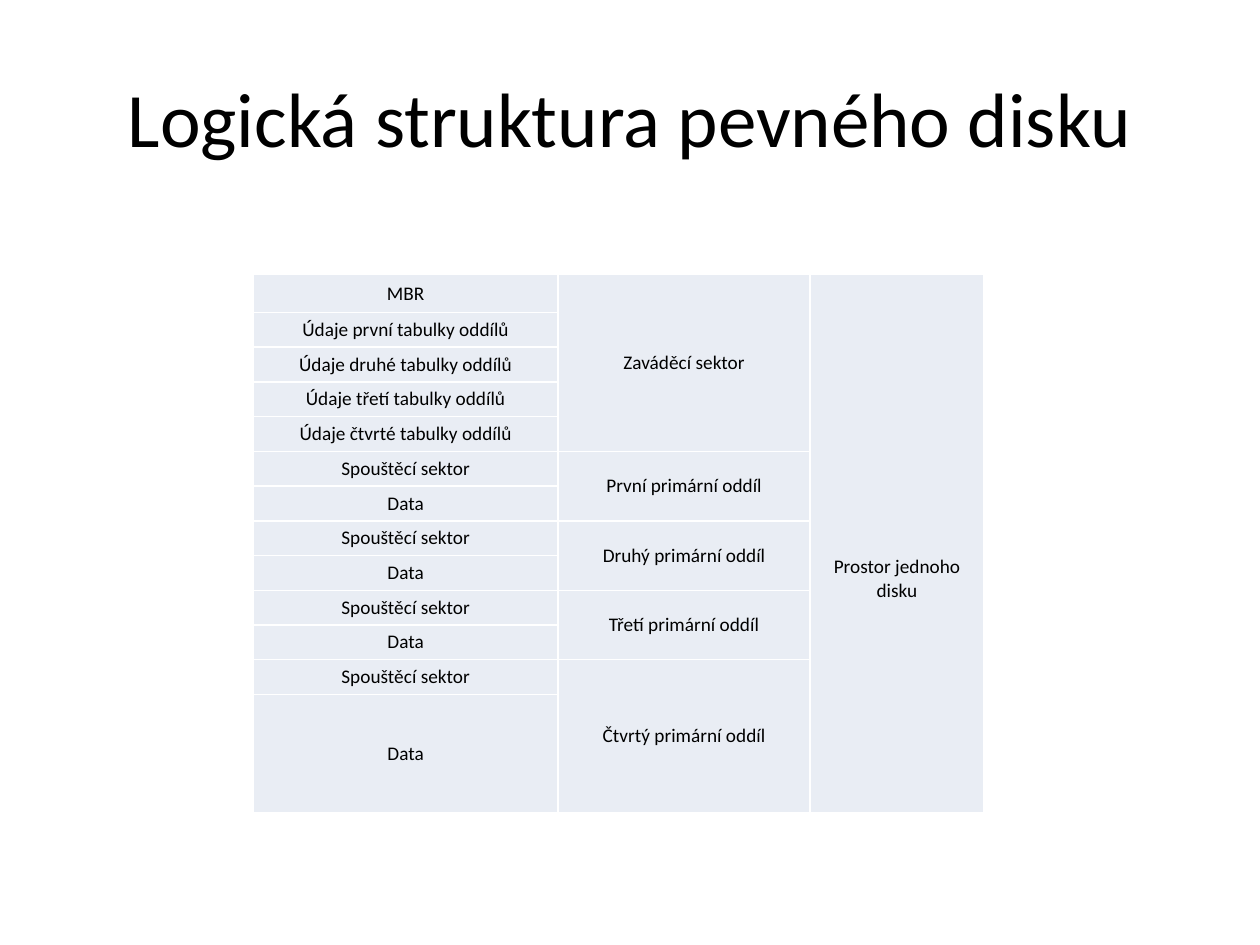
"""Build a slide with a table of the logical structure of a hard disk."""
import lxml.etree
import pptx
import pptx.dml.color
import pptx.enum.text
import pptx.oxml.ns
import pptx.util

Inches = pptx.util.Inches
COLORS = {"text": "000000", "cell": "E9EDF4", "border": "FFFFFF"}
FONT = "Calibri"
COLUMN_WIDTHS = [2.42, 2, 1.38]
FIRST_ROW, MIDDLE_ROW, LAST_ROW = 0.3, 3.31 / 12, 0.94
SECTORS = ["MBR"]
SECTORS += [f"Údaje {order} tabulky oddílů" for order in ("první", "druhé", "třetí", "čtvrté")]
SECTORS += ["Spouštěcí sektor", "Data"] * 4
SECTIONS = [("Zaváděcí sektor", 5)]
SECTIONS += [(f"{order} primární oddíl", 2) for order in ("První", "Druhý", "Třetí", "Čtvrtý")]


def rgb(name):
    return pptx.dml.color.RGBColor.from_string(COLORS[name])


def write_text(text_frame, text, size):
    paragraph = text_frame.paragraphs[0]
    paragraph.alignment = pptx.enum.text.PP_ALIGN.CENTER
    run = paragraph.add_run()
    run.text = text
    run.font.name = FONT
    run.font.size = pptx.util.Pt(size)
    run.font.color.rgb = rgb("text")


def add_title(slide, text):
    title = slide.shapes.title
    title.left, title.top = Inches(0.5), Inches(0.3)
    title.width, title.height = Inches(9), Inches(1.25)
    title.text_frame.vertical_anchor = pptx.enum.text.MSO_ANCHOR.MIDDLE
    write_text(title.text_frame, text, 44)


def add_borders(cell):
    qualified = pptx.oxml.ns.qn
    properties = cell._tc.get_or_add_tcPr()
    for side in ("L", "R", "T", "B"):
        line = lxml.etree.SubElement(properties, qualified(f"a:ln{side}"), w=str(pptx.util.Pt(1)))
        fill = lxml.etree.SubElement(line, qualified("a:solidFill"))
        lxml.etree.SubElement(fill, qualified("a:srgbClr"), val=COLORS["border"])


def format_cell(cell):
    add_borders(cell)
    cell.fill.solid()
    cell.fill.fore_color.rgb = rgb("cell")
    cell.vertical_anchor = pptx.enum.text.MSO_ANCHOR.MIDDLE
    cell.margin_left = cell.margin_right = Inches(0.05)
    cell.margin_top = cell.margin_bottom = 0


def add_disk_table(slide):
    row_heights = [FIRST_ROW] + [MIDDLE_ROW] * (len(SECTORS) - 2) + [LAST_ROW]
    table = slide.shapes.add_table(
        len(SECTORS), len(COLUMN_WIDTHS), Inches(2.01), Inches(2.18),
        Inches(sum(COLUMN_WIDTHS)), Inches(sum(row_heights))).table
    table.first_row = table.horz_banding = False
    for column, width in zip(table.columns, COLUMN_WIDTHS):
        column.width = Inches(width)
    for row, height in zip(table.rows, row_heights):
        row.height = Inches(height)
    for cell in table.iter_cells():
        format_cell(cell)

    for index, text in enumerate(SECTORS):
        write_text(table.cell(index, 0).text_frame, text, 11)
    start = 0
    for text, span in SECTIONS:
        section = table.cell(start, 1)
        section.merge(table.cell(start + span - 1, 1))
        write_text(section.text_frame, text, 11)
        start += span
    disk = table.cell(0, 2)
    disk.merge(table.cell(len(SECTORS) - 1, 2))
    disk.margin_top = Inches(0.56)
    write_text(disk.text_frame, "Prostor jednoho disku", 11)


def main():
    presentation = pptx.Presentation()
    presentation.slide_width, presentation.slide_height = Inches(10), Inches(7.5)
    slide = presentation.slides.add_slide(presentation.slide_layouts.get_by_name("Title Only"))
    add_title(slide, "Logická struktura pevného disku")
    add_disk_table(slide)
    presentation.save("out.pptx")


if __name__ == "__main__":
    main()
